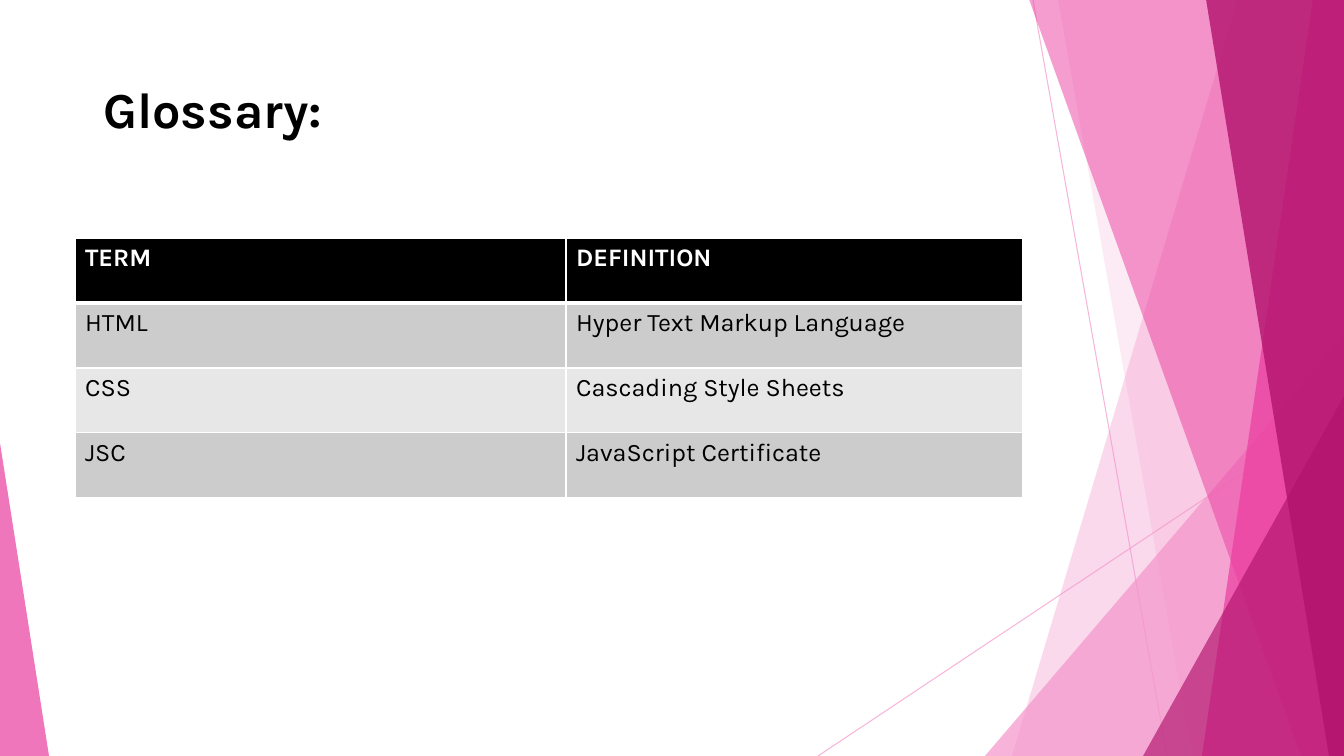
from lxml import etree
from pptx import Presentation
from pptx import util as u
from pptx.dml.color import RGBColor
from pptx.enum import shapes, text
from pptx.oxml import parse_xml
from pptx.oxml.ns import nsdecls, qn

EMU_PER_PX = 914400 / 100.8
WIDTH, HEIGHT = 1344, 756
FONT = "Karla"
BLACK, WHITE = "000000", "FFFFFF"
LIGHT_PINK, PINK, MAGENTA = "F496CB", "EB3D9F", "B2136D"
BAND_DARK, BAND_LIGHT = "CCCCCC", "E7E7E7"

GLOSSARY = [
    ("TERM", "DEFINITION"),
    ("HTML", "Hyper Text Markup Language"),
    ("CSS", "Cascading Style Sheets"),
    ("JSC", "JavaScript Certificate"),
]

RAYS = [((1033, 0), (1167, HEIGHT)), ((WIDTH, 406), (818, HEIGHT))]

# Each band runs to the right slide edge: top-left x, bottom-left x, colour, opacity
BACK_BANDS = [(1238, 1012, LIGHT_PINK, 36), (1058, 1192, LIGHT_PINK, 20)]
FRONT_BANDS = [
    (1029, 1301, PINK, 50),
    (1313, 1202, PINK, 70),
    (1206, 1329, MAGENTA, 80),
]

# Each corner stands on the bottom edge: left, top, width, apex, colour, opacity
BACK_CORNER = (985, 336, 359, 1, LIGHT_PINK, 72)
FRONT_CORNERS = [(1143, 396, 201, 1, MAGENTA, 66), (0, 443, 49, 0, PINK, 70)]


def px(length):
    return u.Emu(round(length * EMU_PER_PX))


def rgb(hex_colour):
    return RGBColor.from_string(hex_colour)


def set_opacity(properties, percent):
    """Add an alpha value to the first solid colour in the shape properties."""
    colour = properties.find(".//" + qn("a:srgbClr"))
    etree.SubElement(colour, qn("a:alpha")).set("val", str(percent * 1000))


class GlossarySlide:
    def __init__(self, prs):
        self.slide = prs.slides.add_slide(prs.slide_layouts[5])
        self.items = self.slide.shapes

    def words(self, frame, wording, size, colour, bold):
        run = frame.paragraphs[0].add_run()
        run.text = wording
        style = {"name": FONT, "size": u.Pt(size), "bold": bold}
        for key, value in style.items():
            setattr(run.font, key, value)
        run.font.color.rgb = rgb(colour)

    def title(self, wording, left, top, width, height):
        heading = self.items.title
        place = {"left": left, "top": top, "width": width, "height": height}
        for key, value in place.items():
            setattr(heading, key, px(value))
        heading.text_frame.vertical_anchor = text.MSO_ANCHOR.TOP
        heading.text_frame.paragraphs[0].alignment = text.PP_ALIGN.LEFT
        self.words(heading.text_frame, wording, 36, BLACK, True)

    def paint(self, shape, colour, opacity):
        shape.shadow.inherit = False
        shape.fill.solid()
        shape.fill.fore_color.rgb = rgb(colour)
        shape.line.fill.background()
        set_opacity(shape._element.spPr, opacity)

    def ray(self, start, end):
        line = self.items.add_connector(
            shapes.MSO_CONNECTOR.STRAIGHT, *map(px, start + end))
        line.line.width = u.Pt(0.75)
        line.line.color.rgb = rgb(LIGHT_PINK)
        properties = line._element.spPr
        set_opacity(properties, 70)
        etree.SubElement(properties, qn("a:effectLst"))

    def band(self, top_x, bottom_x, colour, opacity):
        outline = self.items.build_freeform(top_x, -1, EMU_PER_PX)
        outline.add_line_segments(
            [(WIDTH, -1), (WIDTH, HEIGHT), (bottom_x, HEIGHT)], close=True)
        self.paint(outline.convert_to_shape(), colour, opacity)

    def corner(self, left, top, width, apex, colour, opacity):
        triangle = self.items.add_shape(
            shapes.MSO_SHAPE.ISOSCELES_TRIANGLE,
            *map(px, (left, top, width, HEIGHT - top)))
        triangle.adjustments[0] = apex
        self.paint(triangle, colour, opacity)

    def borders(self, cell, widths):
        """Draw white cell borders; widths are points by side L, R, T, B."""
        properties = cell._tc.get_or_add_tcPr()
        for place, (side, points) in enumerate(widths.items()):
            properties.insert(place, parse_xml(
                f'<a:ln{side} {nsdecls("a")} w="{u.Pt(points)}"><a:solidFill>'
                f'<a:srgbClr val="{WHITE}"/></a:solidFill></a:ln{side}>'))

    def table(self, rows, left, top, column_widths, row_height):
        grid = self.items.add_table(
            len(rows), len(column_widths), px(left), px(top),
            px(sum(column_widths)), px(row_height * len(rows))).table
        for column, width in zip(grid.columns, column_widths):
            column.width = px(width)
        for r, entries in enumerate(rows):
            grid.rows[r].height = px(row_height)
            header = r == 0
            shade = BLACK if header else BAND_DARK if r % 2 else BAND_LIGHT
            for c, wording in enumerate(entries):
                cell = grid.cell(r, c)
                cell.fill.solid()
                cell.fill.fore_color.rgb = rgb(shade)
                self.borders(cell, {"L": 1, "R": 1, "T": 3 if r == 1 else 1,
                                    "B": 3 if header else 1})
                self.words(cell.text_frame, wording, 18,
                           WHITE if header else BLACK, header)


def main():
    prs = Presentation()
    prs.slide_width, prs.slide_height = px(WIDTH), px(HEIGHT)
    page = GlossarySlide(prs)
    for start, end in RAYS:
        page.ray(start, end)
    for band in BACK_BANDS:
        page.band(*band)
    page.corner(*BACK_CORNER)
    for band in FRONT_BANDS:
        page.band(*band)
    for corner in FRONT_CORNERS:
        page.corner(*corner)
    page.title("Glossary:", 93, 73, 948, 145)
    page.table(GLOSSARY, 75, 238, (491, 457), 65)
    prs.save("out.pptx")


if __name__ == "__main__":
    main()
